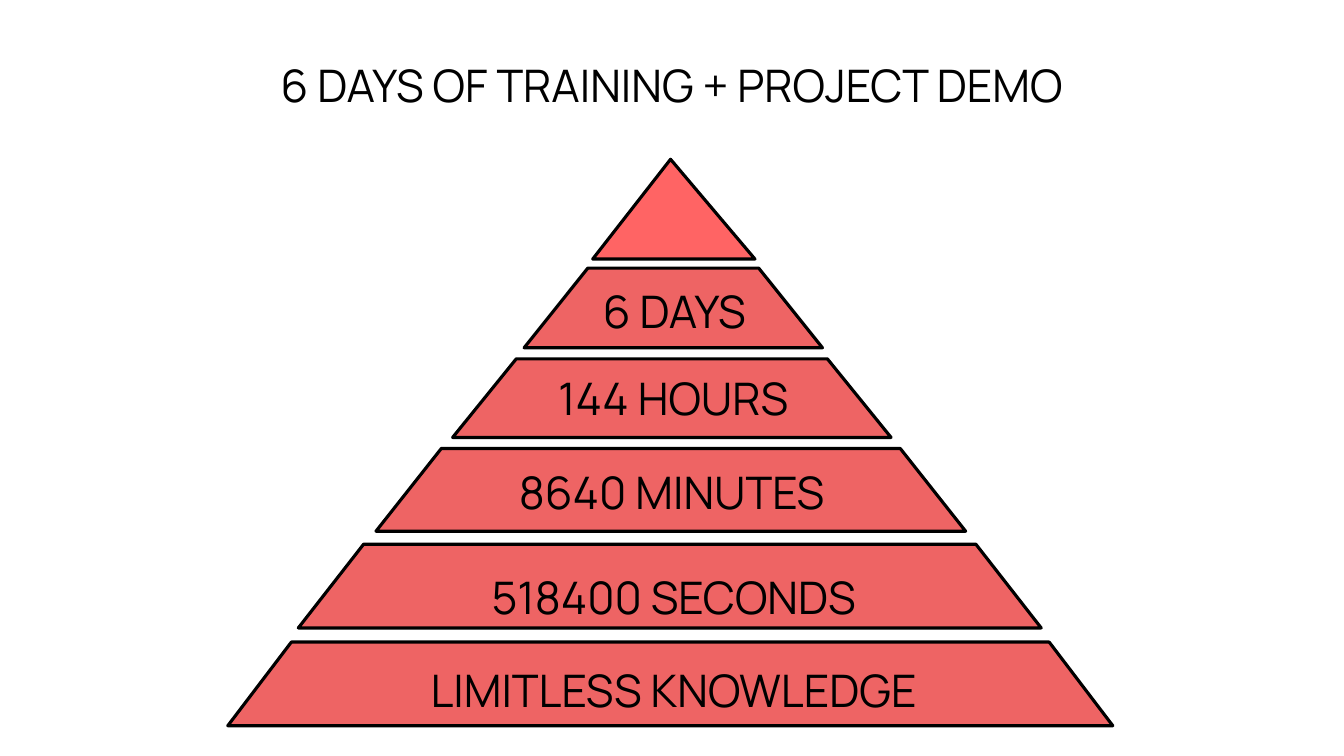
from dataclasses import dataclass
from typing import NamedTuple

from pptx import Presentation
from pptx import util as u
from pptx.dml.color import RGBColor
from pptx.enum import shapes, text


@dataclass(frozen=True)
class Theme:
    font: str = "Manrope"
    size: float = 32
    ink: str = "000000"
    band: str = "EE6464"
    apex: str = "FF6464"
    outline: float = 2.25


class Box(NamedTuple):
    left: float
    top: float
    width: float
    height: float

    def within(self, outer):
        return Box(outer.left + self.left, outer.top + self.top, self.width, self.height)

    def lengths(self):
        return [u.Pt(value) for value in self]


class Tier(NamedTuple):
    label: str
    band: Box
    slant: float
    label_box: Box
    fitted: bool


THEME = Theme()
TITLE_BOX = Box(0, 17.28, 960, 120.96)
PYRAMID_BOX = Box(162.72, 113.76, 632.16, 404.64)

# Boxes are relative to the pyramid's top left corner.
APEX = Box(260.64, 0, 115.92, 71.28)
TIERS = [
    Tier("6 DAYS", Box(211.68, 77.76, 213.12, 56.88), 0.8,
         Box(231.84, 85.68, 174.24, 46.08), True),
    Tier("144 HOURS", Box(160.56, 142.56, 313.2, 56.16), 0.81,
         Box(211.68, 147.6, 213.12, 46.08), True),
    Tier("8640 MINUTES", Box(105.84, 206.64, 421.2, 59.04), 0.79,
         Box(160.56, 214.56, 313.2, 46.08), True),
    Tier("518400 SECONDS", Box(50.4, 275.04, 530.64, 59.76), 0.78,
         Box(-33.84, 260.64, 704.88, 99.36), False),
    Tier("LIMITLESS KNOWLEDGE", Box(0, 344.88, 632.16, 59.76), 0.76,
         Box(-33.84, 326.88, 704.88, 99.36), False),
]


def add_text(page, box, words, fitted=False, bottom_inset=0):
    """Add centred text; a fitted box grows with its text, others centre it vertically."""
    frame = page.shapes.add_textbox(*box.lengths()).text_frame
    frame.word_wrap = True
    side, edge = (7.2, 3.6) if fitted else (0, 0)
    frame.margin_left = frame.margin_right = u.Pt(side)
    frame.margin_top = u.Pt(edge)
    frame.margin_bottom = u.Pt(edge + bottom_inset)
    para = frame.paragraphs[0]
    para.alignment = text.PP_ALIGN.CENTER
    if fitted:
        frame.auto_size = text.MSO_AUTO_SIZE.SHAPE_TO_FIT_TEXT
    else:
        frame.vertical_anchor = text.MSO_ANCHOR.MIDDLE
        para.line_spacing = 1.1
    span = para.add_run()
    span.text = words
    span.font.name = THEME.font
    span.font.size = u.Pt(THEME.size)
    span.font.color.rgb = RGBColor.from_string(THEME.ink)


def add_block(page, box, kind, adjustment, color):
    block = page.shapes.add_shape(kind, *box.lengths())
    block.adjustments[0] = adjustment
    block.shadow.inherit = False
    block.fill.solid()
    block.fill.fore_color.rgb = RGBColor.from_string(color)
    block.line.color.rgb = RGBColor.from_string(THEME.ink)
    block.line.width = u.Pt(THEME.outline)


def add_pyramid(page, box):
    add_block(page, APEX.within(box), shapes.MSO_SHAPE.ISOSCELES_TRIANGLE, 0.48, THEME.apex)
    for tier in TIERS:
        add_block(page, tier.band.within(box), shapes.MSO_SHAPE.TRAPEZOID,
                  tier.slant, THEME.band)
        add_text(page, tier.label_box.within(box), tier.label, fitted=tier.fitted)


def main():
    deck = Presentation()
    deck.slide_width, deck.slide_height = u.Pt(960), u.Pt(540)
    page = deck.slides.add_slide(deck.slide_layouts[6])
    add_text(page, TITLE_BOX, "6 DAYS OF TRAINING + PROJECT DEMO", bottom_inset=39)
    add_pyramid(page, PYRAMID_BOX)
    deck.save("out.pptx")


if __name__ == "__main__":
    main()
